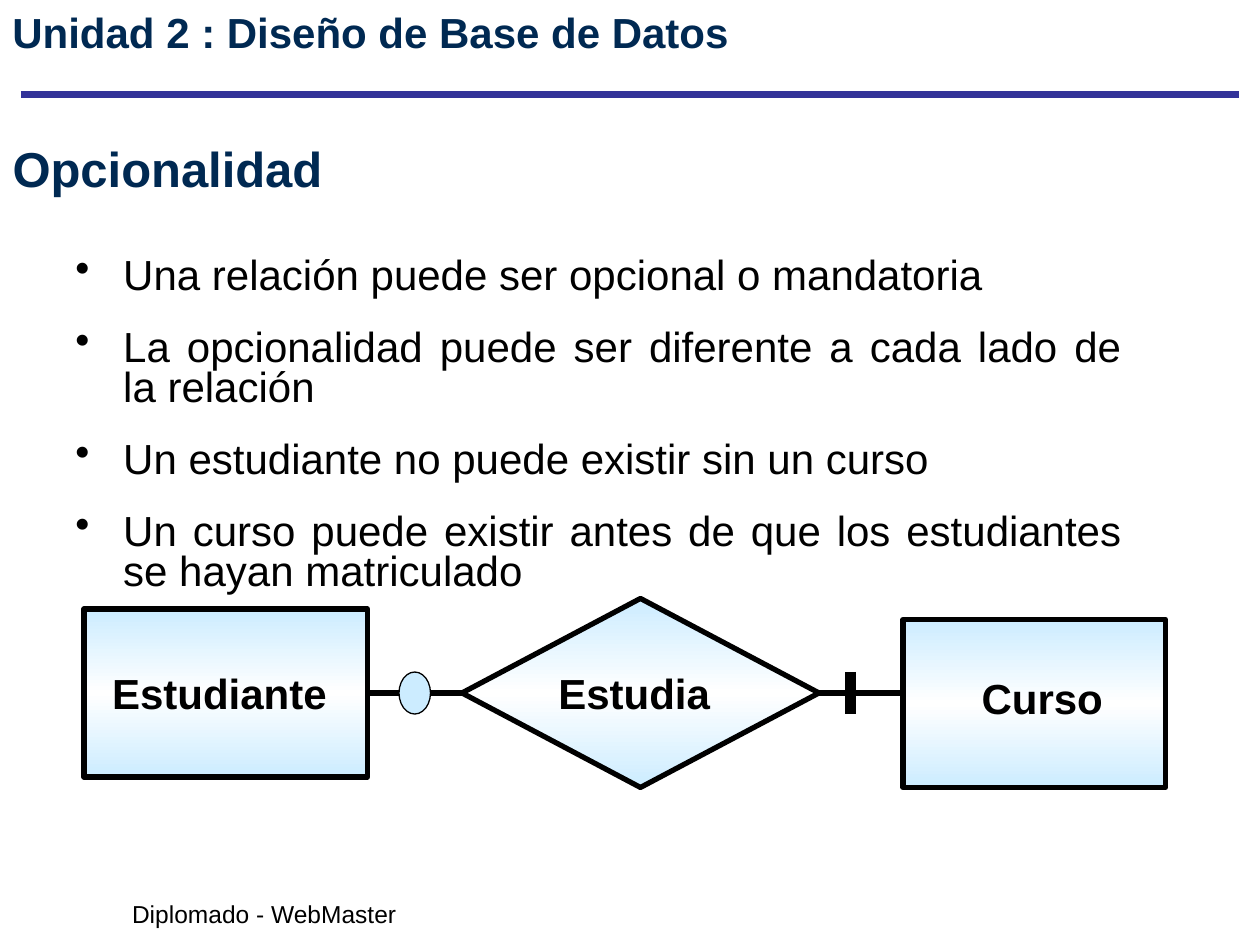
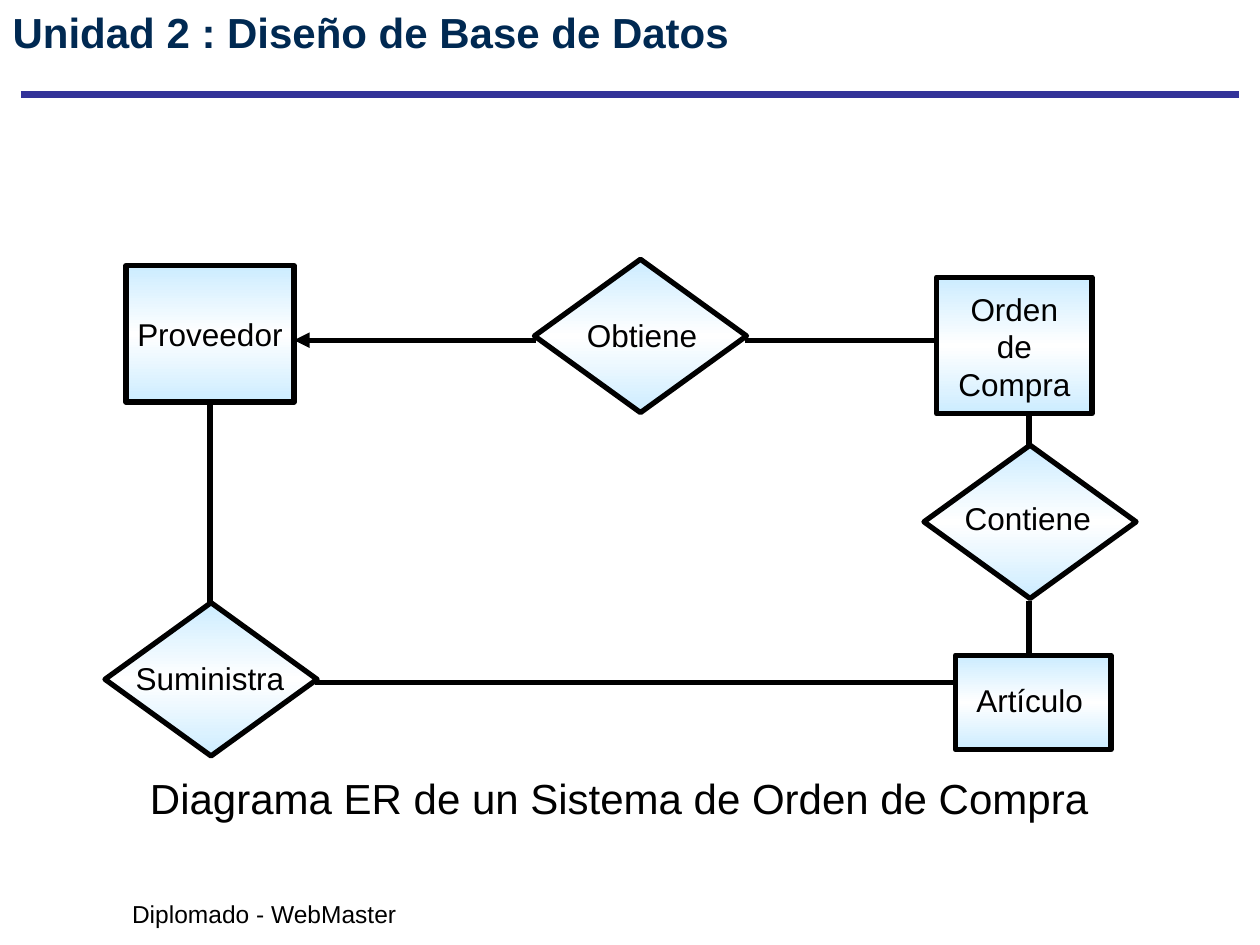
from copy import deepcopy

from lxml import etree
from pptx import Presentation
from pptx.dml.color import RGBColor
from pptx.enum.shapes import MSO_CONNECTOR, MSO_SHAPE
from pptx.enum.text import MSO_ANCHOR, MSO_AUTO_SIZE, PP_ALIGN
from pptx.oxml.ns import qn
from pptx.util import Inches, Pt

STRAIGHT = MSO_CONNECTOR.STRAIGHT
ENTITY, RELATION, OVAL = MSO_SHAPE.RECTANGLE, MSO_SHAPE.FLOWCHART_DECISION, MSO_SHAPE.OVAL
LEFT, CENTER, JUSTIFY = PP_ALIGN.LEFT, PP_ALIGN.CENTER, PP_ALIGN.JUSTIFY
TOP, MIDDLE = MSO_ANCHOR.TOP, MSO_ANCHOR.MIDDLE
FIT_SHAPE, NO_FIT = MSO_AUTO_SIZE.SHAPE_TO_FIT_TEXT, MSO_AUTO_SIZE.NONE

COLORS = {"heading": "002952", "rule": "333399", "ink": "000000",
          "sky": "CCECFF", "white": "FFFFFF"}
FONT = "Arial"
COLUMNS, ROWS = 120, 90
UNIT = "Unidad 2 : Diseño de Base de Datos"
UNIT_AREA = (0, 0, 95, 7)


def color(name):
    return RGBColor.from_string(COLORS[name])


class Slides:
    """Holds the deck, its style and the current page; lengths are grid columns and rows."""

    def __init__(self):
        self.deck = Presentation()
        self.deck.slide_width, self.deck.slide_height = Inches(10), Inches(7.5)
        self.page = None

    def x(self, columns):
        return round(self.deck.slide_width * columns / COLUMNS)

    def y(self, rows):
        return round(self.deck.slide_height * rows / ROWS)

    def area(self, left, top, width, height):
        return self.x(left), self.y(top), self.x(width), self.y(height)

    def new_page(self):
        self.page = self.deck.slides.add_slide(self.deck.slide_layouts[5])
        self.line((2, 9), (118, 9), 4.5, "rule")
        self.text("Diplomado - WebMaster", (11.4, 85, 27.6, 4), 14, wrap=False)

    def title(self, words, area, size, anchor=TOP):
        box = self.page.shapes.title
        box.left, box.top, box.width, box.height = self.area(*area)
        self.fill_text(box, [words], size, "heading", True, LEFT, anchor)

    def text(self, words, area, size, ink="ink", bold=False, align=LEFT, wrap=True):
        box = self.page.shapes.add_textbox(*self.area(*area))
        self.fill_text(box, [words], size, ink, bold, align, wrap=wrap)

    def bullets(self, lines, area, size):
        box = self.page.shapes.add_textbox(*self.area(*area))
        self.fill_text(box, lines, size, align=JUSTIFY)
        for index, para in enumerate(box.text_frame.paragraphs):
            props = para._p.get_or_add_pPr()
            props.set("marL", str(Inches(0.38)))
            props.set("indent", str(-Inches(0.38)))
            etree.SubElement(props, qn("a:buChar")).set("char", "•")
            para.line_spacing = 0.8
            para.space_before = Pt(18 if index else 0)

    def fill_text(self, box, lines, size, ink="ink", bold=False, align=LEFT,
                  anchor=TOP, wrap=True):
        frame = box.text_frame
        frame.word_wrap = wrap
        frame.auto_size = NO_FIT if wrap else FIT_SHAPE
        frame.vertical_anchor = anchor
        for index, words in enumerate(lines):
            para = frame.add_paragraph() if index else frame.paragraphs[0]
            para.alignment = align
            span = para.add_run()
            span.text = words
            span.font.name, span.font.size, span.font.bold = FONT, Pt(size), bold
            span.font.color.rgb = color(ink)

    def shape(self, kind, area, weight=3):
        shape = self.page.shapes.add_shape(kind, *self.area(*area))
        shape.shadow.inherit = False
        shape.line.color.rgb, shape.line.width = color("ink"), Pt(weight)
        return shape

    def node(self, kind, area):
        """Diagram node with a sky-white-sky vertical gradient."""
        shape = self.shape(kind, area)
        shape.fill.gradient()
        shape.fill.gradient_angle = 270
        stop_list = shape.element.spPr.find(".//" + qn("a:gsLst"))
        stop_list.insert(1, deepcopy(stop_list[0]))
        for index, (stop, name) in enumerate(zip(shape.fill.gradient_stops,
                                                 ("sky", "white", "sky"))):
            stop.position, stop.color.rgb = index / 2, color(name)

    def dot(self, area):
        shape = self.shape(OVAL, area, 0.75)
        shape.fill.solid()
        shape.fill.fore_color.rgb = color("sky")

    def line(self, start, end, weight=3, ink="ink", arrow=False):
        line = self.page.shapes.add_connector(
            STRAIGHT, self.x(start[0]), self.y(start[1]), self.x(end[0]), self.y(end[1]))
        line.line.color.rgb, line.line.width = color(ink), Pt(weight)
        if arrow:
            outline = line.line._get_or_add_ln()
            etree.SubElement(outline, qn("a:tailEnd")).set("type", "triangle")
        etree.SubElement(line.element.spPr, qn("a:effectLst"))


def optionality(slides):
    slides.new_page()
    slides.text(UNIT, UNIT_AREA, 24, "heading", True)
    slides.title("Opcionalidad", (0, 13, 102, 6), 28, MIDDLE)

    # Entities and relation
    for kind, area, name, label_area in (
            (ENTITY, (8, 58, 27, 16), "Estudiante", (9.5, 63, 24, 6)),
            (RELATION, (44, 57, 34, 18), "Estudia", (52, 63, 19, 6)),
            (ENTITY, (86, 59, 25, 16), "Curso", (92.3, 63.5, 14, 6))):
        slides.node(kind, area)
        slides.text(name, label_area, 24, bold=True)

    # Links with optional and mandatory marks
    slides.line((78, 66), (86, 66))
    slides.line((35, 66), (44, 66))
    slides.dot((38, 64, 3, 4))
    slides.line((81, 64), (81, 68), 6)

    slides.bullets(["Una relación puede ser opcional o mandatoria",
                    "La opcionalidad puede ser diferente a cada lado de la relación",
                    "Un estudiante no puede existir sin un curso",
                    "Un curso puede existir antes de que los estudiantes se hayan matriculado"],
                   (6, 24, 102, 34), 24)


def purchase_diagram(slides):
    slides.new_page()
    slides.title(UNIT, UNIT_AREA, 24)

    # Links
    for start, end in (((71, 32.4), (89, 32.4)), ((30, 65), (91, 65)),
                       ((98, 57.2), (98, 62.2)), ((98, 39.4), (98, 42.4)),
                       ((20, 57.4), (20, 38.4))):
        slides.line(start, end)
    slides.line((51, 32.4), (28, 32.4), arrow=True)

    # Entities and relations
    diamond = (20.2, 14.6)
    for kind, corner, size, name, label_area, align in (
            (ENTITY, (12, 25.3), (16, 13), "Proveedor", (11.5, 29.4, 17, 4.8), CENTER),
            (RELATION, (50.9, 24.7), diamond, "Obtiene", (53.7, 29.5, 14.9, 4.8), CENTER),
            (ENTITY, (89.2, 26.4), (14.8, 13), "Orden de Compra", (89.6, 27, 14, 12), CENTER),
            (RELATION, (88, 42.4), diamond, "Contiene", (90.7, 46.9, 15, 4.8), LEFT),
            (ENTITY, (91, 62.4), (14.8, 9), "Artículo", (91.8, 64.3, 14, 4.8), LEFT),
            (RELATION, (10, 57.4), diamond, "Suministra", (11.5, 62.2, 17, 4.8), CENTER)):
        slides.node(kind, corner + size)
        slides.text(name, label_area, 18, align=align)

    slides.text("Diagrama ER de un Sistema de Orden de Compra", (13.1, 73, 91.8, 6), 24,
                wrap=False)


def main():
    slides = Slides()
    optionality(slides)
    purchase_diagram(slides)
    slides.deck.save("out.pptx")


if __name__ == "__main__":
    main()
